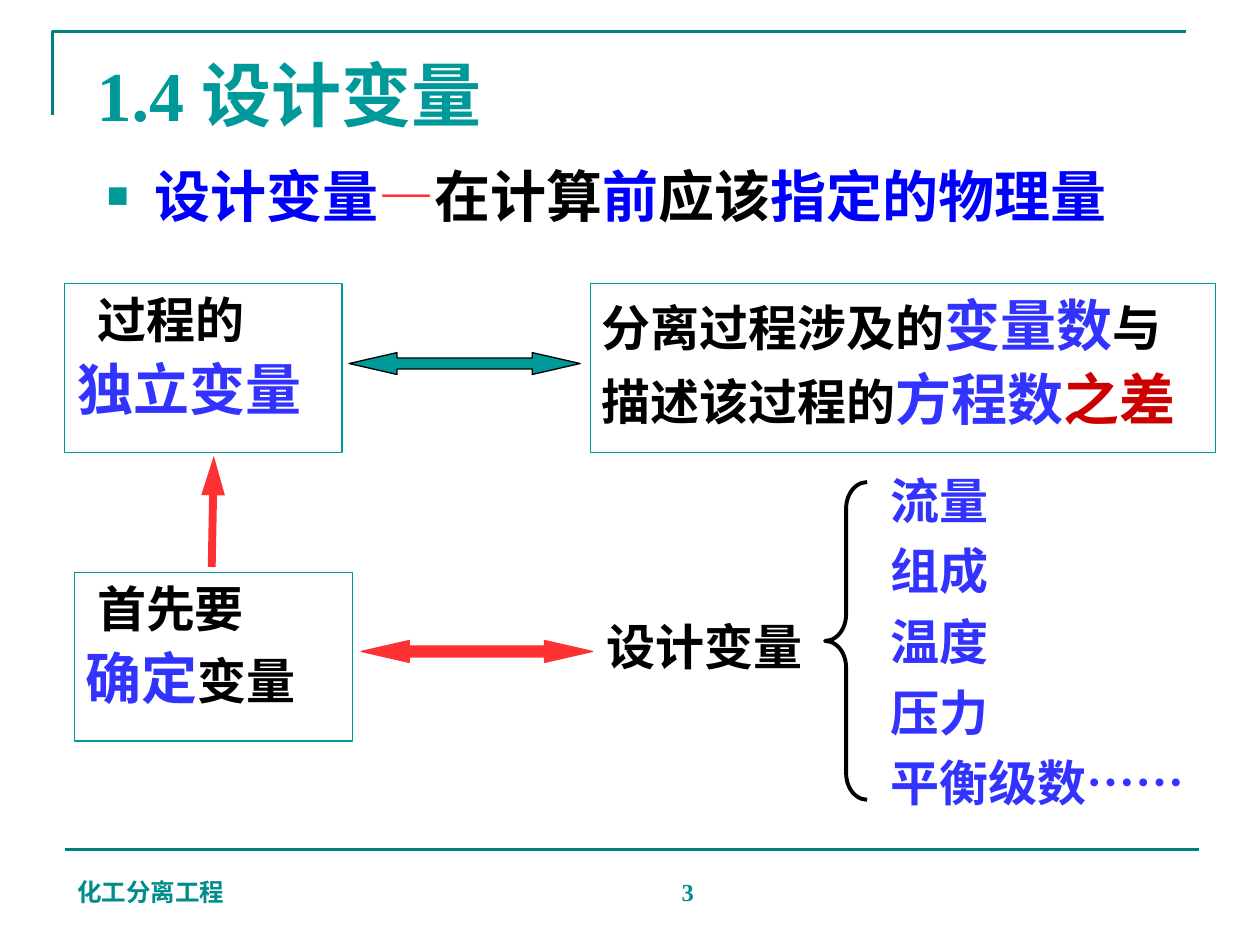
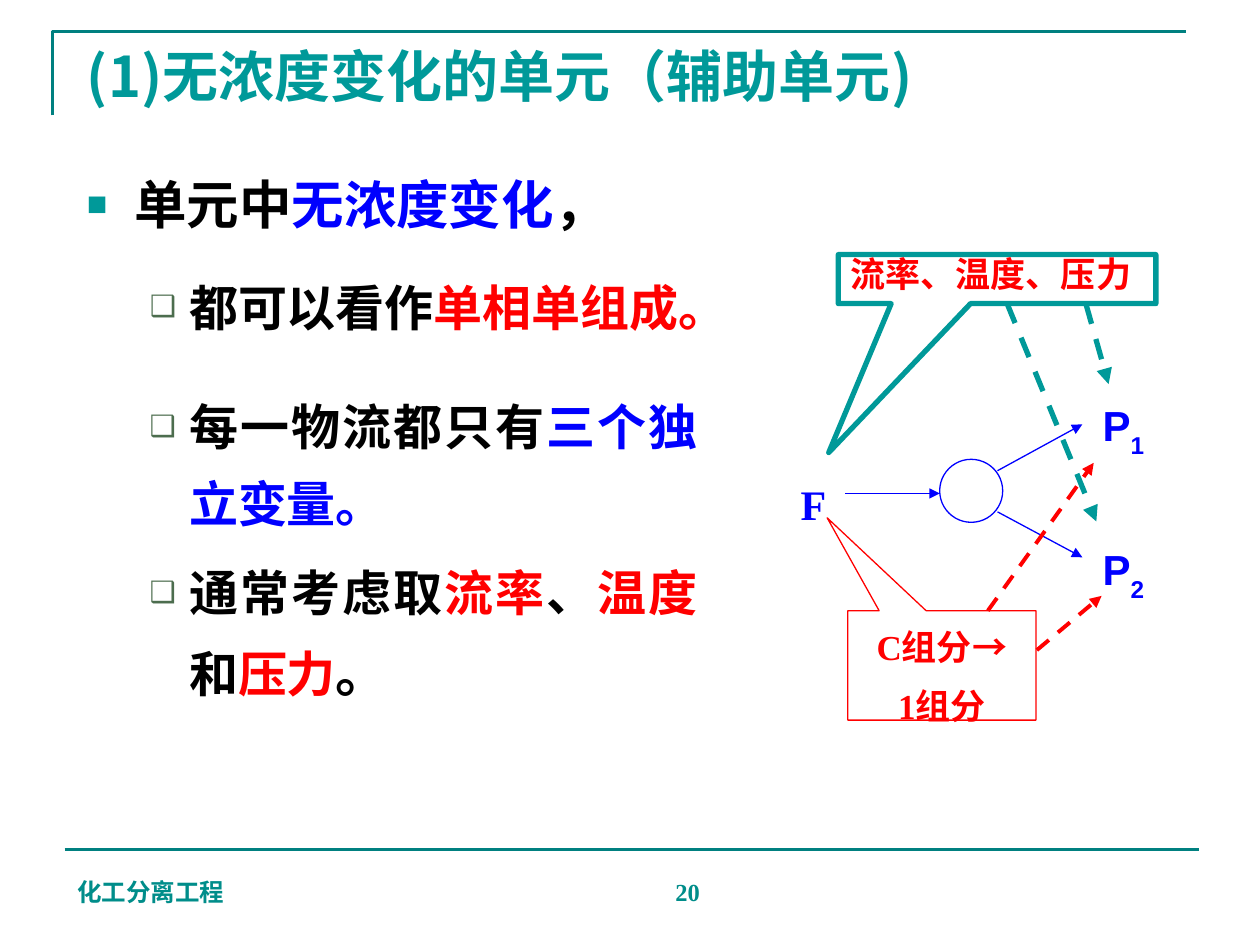
from lxml import etree
from pptx import Presentation
from pptx.dml.color import RGBColor
from pptx.enum.dml import MSO_LINE
from pptx.enum.shapes import MSO_CONNECTOR, MSO_SHAPE
from pptx.enum.text import MSO_ANCHOR, MSO_AUTO_SIZE, PP_ALIGN
from pptx.oxml.ns import qn
from pptx.util import Pt

STRAIGHT = MSO_CONNECTOR.STRAIGHT
DASH = MSO_LINE.DASH
RECTANGLE = MSO_SHAPE.RECTANGLE
OVAL = MSO_SHAPE.OVAL
DOUBLE_ARROW = MSO_SHAPE.LEFT_RIGHT_ARROW
CALLOUT = MSO_SHAPE.RECTANGULAR_CALLOUT
BRACE = MSO_SHAPE.LEFT_BRACE
TOP, BOTTOM = MSO_ANCHOR.TOP, MSO_ANCHOR.BOTTOM
LEFT, CENTER, JUSTIFY = PP_ALIGN.LEFT, PP_ALIGN.CENTER, PP_ALIGN.JUSTIFY
NO_AUTOFIT = MSO_AUTO_SIZE.NONE

COLOURS = {
    "teal": "009999", "frame": "008080", "footer": "008D8A", "black": "000000",
    "blue": "0000FF", "violet": "3333FF", "red": "FF0000", "coral": "FE3232",
    "crimson": "CC0000", "moss": "4C6D4E",
}
TIMES, ARIAL, NOTO = "Times New Roman", "Arial", "Noto Sans CJK SC"
BULLETS = {
    "main": {"char": "■", "colour": "teal", "percent": 65, "left": 27, "indent": -27},
    "sub": {"char": "❑", "colour": "moss", "percent": 60, "left": 58.5, "indent": -22.5},
}


def write_text(shape, paragraphs, font=TIMES, margins=(7.2, 3.6), anchor=TOP, **shared):
    frame = shape.text_frame
    horizontal, vertical = margins
    frame_format = {
        "word_wrap": True, "auto_size": NO_AUTOFIT, "vertical_anchor": anchor,
        "margin_left": Pt(horizontal), "margin_right": Pt(horizontal),
        "margin_top": Pt(vertical), "margin_bottom": Pt(vertical),
    }
    for name, value in frame_format.items():
        setattr(frame, name, value)
    for number, content in enumerate(paragraphs):
        paragraph = frame.add_paragraph() if number else frame.paragraphs[0]
        settings = {"alignment": LEFT, **shared, **content}
        runs = settings.pop("runs")
        bullet = BULLETS.get(settings.pop("bullet", None))
        left = settings.pop("left", 0)
        for name, value in settings.items():
            setattr(paragraph, name, value)
        properties = paragraph._p.get_or_add_pPr()
        properties.set("marL", str(Pt(bullet["left"] if bullet else left)))
        properties.set("indent", str(Pt(bullet["indent"] if bullet else 0)))
        if bullet:
            colour = etree.SubElement(properties, qn("a:buClr"))
            etree.SubElement(colour, qn("a:srgbClr"), val=COLOURS[bullet["colour"]])
            etree.SubElement(properties, qn("a:buSzPct"), val=str(bullet["percent"] * 1000))
            etree.SubElement(properties, qn("a:buFont"), typeface=ARIAL)
            etree.SubElement(properties, qn("a:buChar"), char=bullet["char"])
        for text, colour, size, *baseline in runs:
            run = paragraph.add_run()
            run.text = text
            run.font.color.rgb = RGBColor.from_string(COLOURS[colour])
            for name, value in {"name": font, "size": Pt(size), "bold": True}.items():
                setattr(run.font, name, value)
            run_properties = run._r.get_or_add_rPr()
            etree.SubElement(run_properties, qn("a:ea"), typeface=NOTO)
            if baseline:
                run_properties.set("baseline", str(baseline[0] * 1000))


def draw(slide, kind, box, colour, weight, fill=None, adjustments=(), dash=None, arrow=None):
    if kind is STRAIGHT:
        shape = slide.shapes.add_connector(kind, *map(Pt, box))
        etree.SubElement(shape._element.spPr, qn("a:effectLst"))
    else:
        shape = slide.shapes.add_shape(kind, *map(Pt, box))
        shape.shadow.inherit = False
        for index, value in enumerate(adjustments):
            shape.adjustments[index] = value
        if fill:
            shape.fill.solid()
            shape.fill.fore_color.rgb = RGBColor.from_string(COLOURS[fill])
        else:
            shape.fill.background()
    shape.line.color.rgb = RGBColor.from_string(COLOURS[colour])
    shape.line.width = Pt(weight)
    if dash:
        shape.line.dash_style = dash
    if arrow:
        etree.SubElement(shape.line._get_or_add_ln(), qn("a:tailEnd"),
                         type="triangle", w="med", len=arrow)
    return shape


presentation = Presentation()
presentation.slide_width, presentation.slide_height = Pt(720), Pt(540)
title_only = presentation.slide_layouts[5]

slide_heads = [
    ("1.4 设计变量", TIMES, 40, (48, 26, 261, 51), "3"),
    ("(1)无浓度变化的单元（辅助单元)", NOTO, 32, (42.5, 20, 612, 53), "20"),
]
slides = []
for heading, font, size, box, number in slide_heads:
    slide = presentation.slides.add_slide(title_only)
    slides.append(slide)
    builder = slide.shapes.build_freeform(Pt(30), Pt(66))
    builder.add_line_segments([(Pt(30), Pt(18)), (Pt(678), Pt(18))], close=False)
    corner = builder.convert_to_shape()
    corner.shadow.inherit = False
    corner.fill.background()
    corner.line.color.rgb = RGBColor.from_string(COLOURS["frame"])
    corner.line.width = Pt(1.5)
    draw(slide, STRAIGHT, (37, 485.5, 685, 485.5), "frame", 1.5)
    title = slide.shapes.title
    for name, value in zip(("left", "top", "width", "height"), box):
        setattr(title, name, Pt(value))
    write_text(title, [{"runs": [(heading, "teal", size)]}], font)
    for text, left, width, alignment in (
        ("化工分离工程", 37, 228, LEFT), (number, 309, 168, CENTER),
    ):
        footer = slide.shapes.add_textbox(Pt(left), Pt(485.5), Pt(width), Pt(36))
        write_text(footer, [{"runs": [(text, "footer", 14)]}], anchor=BOTTOM, alignment=alignment)

variables, units = slides

definition = variables.shapes.add_textbox(Pt(54), Pt(88.5), Pt(612), Pt(57))
write_text(definition, [{"bullet": "main", "runs": [
    ("设计变量", "blue", 32), ("—", "coral", 32), ("在计算", "black", 32),
    ("前", "blue", 32), ("应该", "black", 32), ("指定的物理量", "blue", 32),
]}], ARIAL, space_before=Pt(8))

boxes = [
    ((37, 162, 158.5, 96.5), [
        {"left": 19, "runs": [("过程的", "black", 28)]},
        {"left": 7.5, "runs": [("独立变量", "violet", 32)]},
    ]),
    ((42.5, 327, 159, 96.5), [
        {"left": 13, "runs": [("首先要", "black", 28)]},
        {"left": 6.5, "runs": [("确定", "violet", 32), ("变量", "black", 28)]},
    ]),
    ((337.5, 162, 357, 96.5), [
        {"left": 6.5, "runs": [
            ("分离过程涉及的", "black", 28), ("变量数", "violet", 32), ("与", "black", 28)]},
        {"left": 6.5, "runs": [
            ("描述该过程的", "black", 28), ("方程数", "violet", 32), ("之差", "crimson", 32)]},
    ]),
]
for box, paragraphs in boxes:
    shape = draw(variables, RECTANGLE, box, "teal", 0.75)
    write_text(shape, paragraphs, NOTO, margins=(0, 0), line_spacing=1.1)

draw(variables, STRAIGHT, (121, 324, 122.2, 260.5), "coral", 4.5, arrow="lg")
for left, top, fill, outline in ((199.5, 201.5, "teal", "black"), (206.5, 366, "coral", "coral")):
    draw(variables, DOUBLE_ARROW, (left, top, 132, 12.5), outline, 0.75, fill, (0.5, 2.19))

label = variables.shapes.add_textbox(Pt(326), Pt(348.5), Pt(153), Pt(41))
write_text(label, [{"runs": [("设计变量", "black", 28)]}], alignment=CENTER)
draw(variables, BRACE, (471.5, 275.5, 24, 181.5), "black", 2.25, adjustments=(0.63, 0.5))
quantities = variables.shapes.add_textbox(Pt(502), Pt(258.5), Pt(204.5), Pt(209))
write_text(quantities, [
    {"runs": [(text, "violet", 28)]} for text in ("流量", "组成", "温度", "压力", "平衡级数……")
], NOTO, line_spacing=1.2)

overview = units.shapes.add_textbox(Pt(42.5), Pt(77), Pt(402.5), Pt(136))
write_text(overview, [
    {"bullet": "main", "space_before": Pt(7.5), "runs": [
        ("单元中", "black", 30), ("无浓度变化", "blue", 30), ("，", "black", 30)]},
    {"bullet": "sub", "space_before": Pt(7), "runs": [
        ("都可以看作", "black", 28), ("单相单组成。", "red", 28)]},
], alignment=JUSTIFY, line_spacing=1.5)
streams = units.shapes.add_textbox(Pt(42.5), Pt(213), Pt(363), Pt(215))
write_text(streams, [
    {"bullet": "sub", "space_before": Pt(7), "runs": [
        ("每一物流都只有", "black", 28), ("三个独立变量。", "blue", 28)]},
    {"bullet": "sub", "space_before": Pt(7.5), "runs": [
        ("通常考虑取", "black", 28), ("流率", "red", 28), ("、", "black", 28),
        ("温度", "red", 28), ("和", "black", 28), ("压力", "red", 28), ("。", "black", 30)]},
], alignment=JUSTIFY, line_spacing=1.3)

feed = units.shapes.add_textbox(Pt(450.5), Pt(270), Pt(35.5), Pt(36))
write_text(feed, [{"runs": [("F", "blue", 24)]}])
for index, top in (("1", 225), ("2", 307)):
    product = units.shapes.add_textbox(Pt(623), Pt(top), Pt(54), Pt(45))
    write_text(product, [{"runs": [("P", "blue", 24), (index, "blue", 24, -30)]}], ARIAL)
draw(units, OVAL, (537, 262.5, 36, 36), "blue", 0.75)

component_note = draw(units, CALLOUT, (484.5, 349, 107.5, 62.5), "red", 0.75,
                      adjustments=(-0.61, -1.35))
write_text(component_note, [
    {"runs": [(text, "red", 20)]} for text in ("C组分→", "1组分")
], alignment=CENTER, line_spacing=1.2, space_before=Pt(5))
state_note = draw(units, CALLOUT, (479, 145.5, 181.5, 28), "teal", 3, adjustments=(-0.53, 3.54))
write_text(state_note, [{"runs": [("流率、温度、压力", "red", 20)]}],
           line_spacing=0.8, space_before=Pt(5))

arrows = [
    ("blue", 0.75, None, [(483, 282, 537, 282), (570, 269, 618.5, 242.5), (570, 292.5, 618.5, 318.5)]),
    ("red", 2.25, DASH, [(564.5, 349, 625, 264.5), (592.5, 371.5, 629.5, 340.5)]),
    ("teal", 3, DASH, [(575.5, 173.5, 626.5, 298), (620.5, 173.5, 633.5, 219.5)]),
]
for colour, weight, dash, routes in arrows:
    for route in routes:
        draw(units, STRAIGHT, route, colour, weight, dash=dash, arrow="med")

presentation.save("out.pptx")
